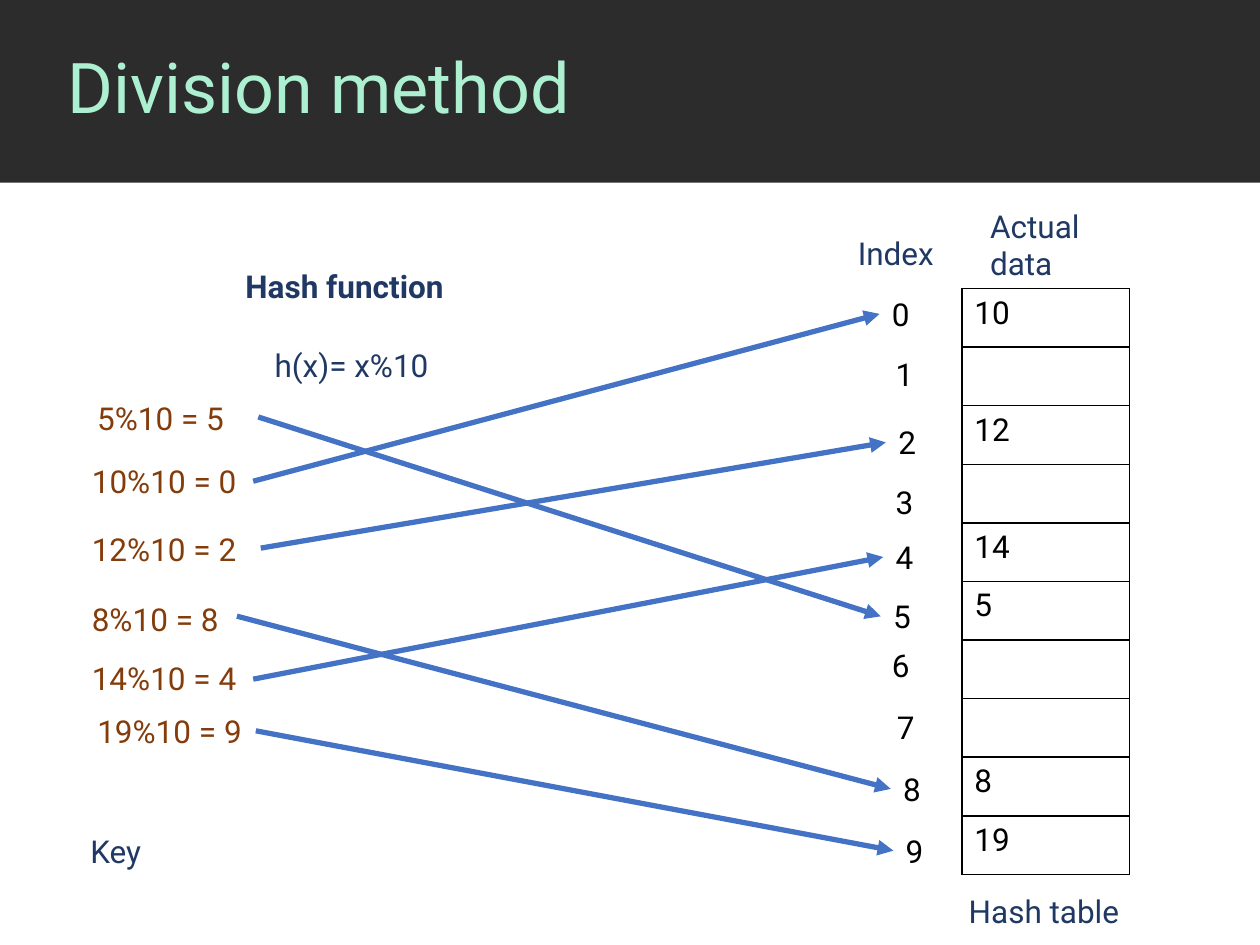
from lxml import etree
from pptx import Presentation
from pptx import util as u
from pptx.dml.color import RGBColor
from pptx.enum import shapes, text
from pptx.oxml import ns

Pt = u.Pt
COLORS = {
    "banner": "2C2C2C",
    "title": "ADF0D1",
    "label": "203864",
    "key": "843C0B",
    "black": "000000",
    "arrow": "4472C4",
}
FONT = "Roboto"


def add_words(frame, words, color, size=18, bold=False):
    """Put one styled run into the first paragraph of a text frame."""
    para = frame.paragraphs[0]
    span = para.add_run()
    span.text = words
    span.font.name = FONT
    span.font.size = Pt(size)
    span.font.bold = bold
    span.font.color.rgb = RGBColor.from_string(COLORS[color])
    return para


def add_label(words, left, top, width, color, height=29, **style):
    box = page.shapes.add_textbox(Pt(left), Pt(top), Pt(width), Pt(height))
    box.text_frame.word_wrap = True
    add_words(box.text_frame, words, color, **style)
    return box


deck = Presentation()
deck.slide_width, deck.slide_height = Pt(720), Pt(540)
page = deck.slides.add_slide(deck.slide_layouts[6])

# Title banner
banner = page.shapes.add_shape(shapes.MSO_SHAPE.RECTANGLE, 0, 0, Pt(720), Pt(104.4))
banner.shadow.inherit = False
banner.fill.solid()
banner.fill.fore_color.rgb = RGBColor.from_string(COLORS["banner"])
banner.line.fill.background()
title = add_label("Division method", 31.7, 0, 688.3, "title", height=103.7, size=40)
title.text_frame.vertical_anchor = text.MSO_ANCHOR.MIDDLE
title.text_frame.paragraphs[0].line_spacing = 0.9

# Captions: words, left, top, width, bold
captions = [
    ("Hash function", 133.2, 149, 141, True),
    ("h(x)= x%10", 149.8, 194.4, 143, False),
    ("Key", 44.6, 471.6, 105, False),
    ("Index", 483.1, 130.3, 60.5, False),
    ("Actual data", 558.7, 114.5, 100, False),
    ("Hash table", 546.5, 506.2, 105, False),
]
for words, left, top, width, bold in captions:
    add_label(words, left, top, width, "label", bold=bold)

# Index column, one (left, top, width) for each slot
index_places = [
    (502.6, 164.9, 25), (504.7, 199.4, 36), (506.2, 238.3, 38), (504.7, 272.2, 36),
    (504.7, 303.8, 36), (503.3, 337.7, 36), (502.6, 365.8, 25), (505.4, 401, 22),
    (509, 436.3, 19), (510.5, 471.6, 17.3),
]
index_boxes = [
    add_label(str(slot), left, top, width, "black")
    for slot, (left, top, width) in enumerate(index_places)
]

# Hash table
keys = [5, 10, 12, 8, 14, 19]
stored = {key % 10: key for key in keys}
row_height = 33.5
frame = page.shapes.add_table(10, 1, Pt(549.6), Pt(164.9), Pt(95.8), Pt(10 * row_height))
table = frame.table
table.first_row = table.horz_banding = False
for slot, row in enumerate(table.rows):
    row.height = Pt(row_height)
    cell = row.cells[0]
    props = cell._tc.get_or_add_tcPr()
    for side in ("lnL", "lnR", "lnT", "lnB"):
        border = etree.SubElement(props, ns.qn("a:" + side), w=str(Pt(1)))
        paint = etree.SubElement(border, ns.qn("a:solidFill"))
        etree.SubElement(paint, ns.qn("a:srgbClr"), val=COLORS["black"])
    cell.fill.background()
    if slot in stored:
        add_words(cell.text_frame, str(stored[slot]), "black")

# Keys with arrows to their slots: label left, top, width, arrow start x, y
key_places = [
    (48.5, 224.6, 113, 147.6, 238.3),
    (45.4, 260.6, 104, 144.7, 275),
    (45.4, 299.5, 116, 149, 313.2),
    (45.4, 339.1, 103, 135.4, 352.1),
    (45.4, 373, 116, 144.7, 388.1),
    (48.5, 403.2, 101, 146.2, 417.6),
]
for key, (left, top, width, start_x, start_y) in zip(keys, key_places):
    slot = key % 10
    add_label(f"{key}%10 = {slot}", left, top, width, "key")
    arrow = page.shapes.add_connector(
        shapes.MSO_CONNECTOR.STRAIGHT, Pt(start_x), Pt(start_y), Pt(500), Pt(start_y))
    arrow.end_connect(index_boxes[slot], 1)
    arrow.line.width = Pt(3)
    arrow.line.color.rgb = RGBColor.from_string(COLORS["arrow"])
    etree.SubElement(arrow.line._get_or_add_ln(), ns.qn("a:tailEnd"), type="triangle")
    etree.SubElement(arrow._element.spPr, ns.qn("a:effectLst"))

deck.save("out.pptx")
